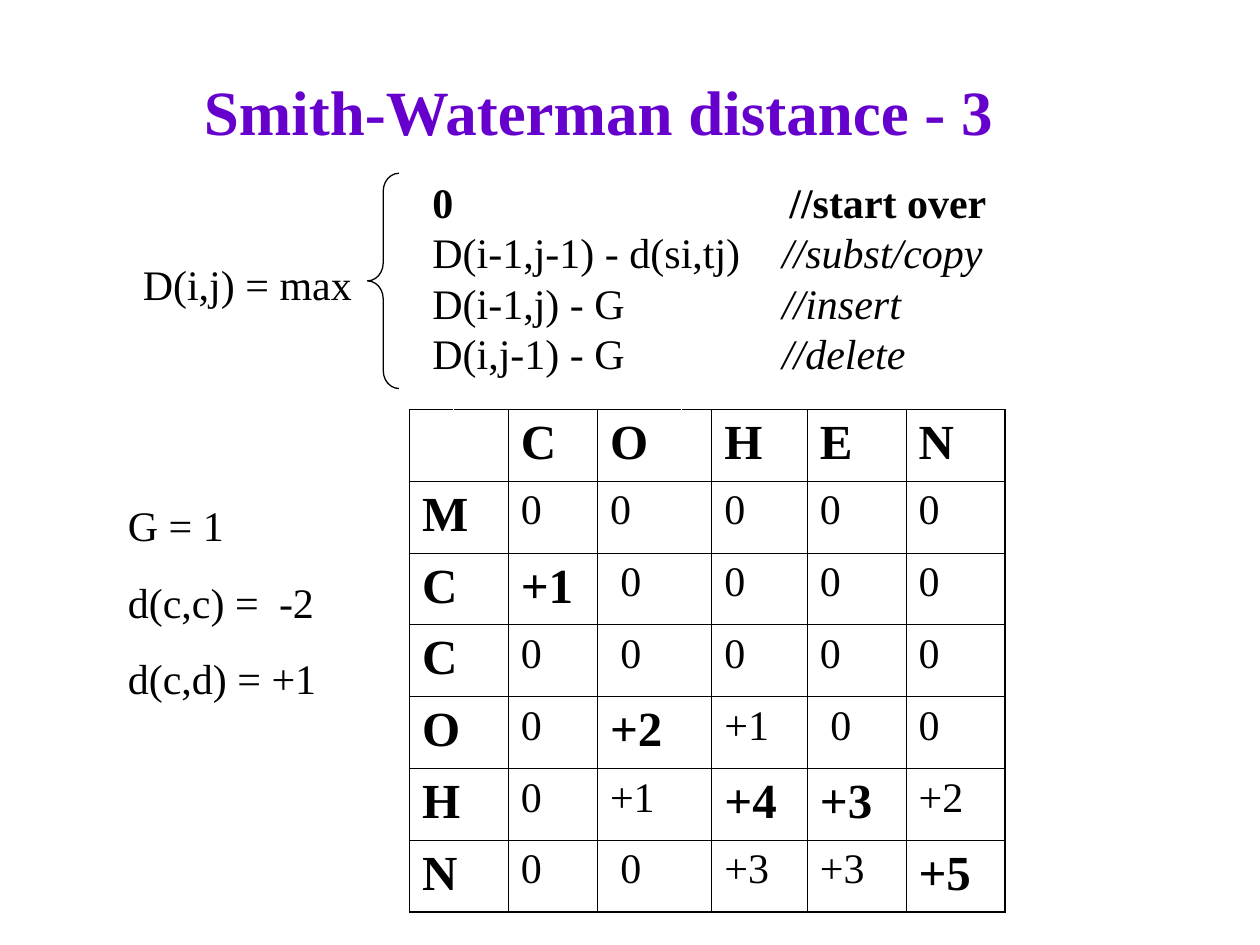
from lxml import etree
from pptx import Presentation
from pptx.dml.color import RGBColor
from pptx.enum.shapes import MSO_SHAPE
from pptx.enum.text import MSO_ANCHOR, PP_ALIGN
from pptx.oxml.ns import qn
from pptx.util import Inches, Pt

BRACE = MSO_SHAPE.LEFT_BRACE
MIDDLE = MSO_ANCHOR.MIDDLE
LEFT, CENTER, RIGHT = PP_ALIGN.LEFT, PP_ALIGN.CENTER, PP_ALIGN.RIGHT

COLORS = {"title": "6600CC", "ink": "000000", "seam": "FFFFFF"}
FORMATS = {
    "title": {"size": Pt(36), "bold": True},
    "body": {"size": Pt(24), "bold": False},
    "strong": {"size": Pt(24), "bold": True},
    "comment": {"size": Pt(24), "italic": True},
    "peak": {"size": Pt(28), "bold": True},
}
GRID_COLUMNS, GRID_ROWS = 120, 90
THIN, THICK = 0.45, 1.08

RECURRENCE = [
    ([("0", "strong"), ("\t//start over", "strong")], 34),
    ([("D(i-1,j-1) - d(si,tj)", "body"), ("\t//subst/copy", "comment")], 33.3),
    ([("D(i-1,j) - G", "body"), ("\t//insert", "comment")], 33.3),
    ([("D(i,j-1) - G", "body"), ("\t//delete", "comment")], 33.3),
]
COSTS = [
    ([("G = 1", "body")], None),
    ([("d(c,c) =\t-2", "body")], 14.4),
    ([("d(c,d) = +1", "body")], None),
]
SCORES = [
    ["", "C", "O", "H", "E", "N"],
    ["M", "0", "0", "0", "0", "0"],
    ["C", "+1", "0", "0", "0", "0"],
    ["C", "0", "0", "0", "0", "0"],
    ["O", "0", "+2", "+1", "0", "0"],
    ["H", "0", "+1", "+4", "+3", "+2"],
    ["N", "0", "0", "+3", "+3", "+5"],
]
PEAKS = {(2, 1), (4, 2), (5, 3), (5, 4), (6, 5)}
INDENTED = {(2, 2), (3, 2), (4, 4), (6, 2)}
COLUMN_WIDTHS = [4.2, 5.2, 8.5, 8, 2.9, 9.1, 9.4, 9.4]
LETTER_COLUMNS = [0, 2, 3, 5, 6, 7]
FIRST_MERGED_ROW = {0: 1, 3: 2}


class SlideBuilder:
    font_name = "Times New Roman"

    def __init__(self, deck):
        self.slide = deck.slides.add_slide(deck.slide_layouts[6])
        self.unit_x = deck.slide_width / GRID_COLUMNS
        self.unit_y = deck.slide_height / GRID_ROWS

    def x(self, columns):
        return round(columns * self.unit_x)

    def y(self, rows):
        return round(rows * self.unit_y)

    def frame(self, left, top, width, height):
        return self.x(left), self.y(top), self.x(width), self.y(height)

    def add_words(self, paragraph, words, style, color="ink"):
        run = paragraph.add_run()
        run.text = words
        run.font.name = self.font_name
        run.font.color.rgb = RGBColor.from_string(COLORS[color])
        for attribute, value in FORMATS[style].items():
            setattr(run.font, attribute, value)

    def add_tab(self, paragraph, position):
        properties = paragraph._p.get_or_add_pPr()
        stops = etree.SubElement(properties, qn("a:tabLst"))
        etree.SubElement(stops, qn("a:tab"), pos=str(self.x(position)), algn="l")

    def text(self, place, lines, color="ink", align=LEFT, wrap=False, gap=0, anchor=None):
        body = self.slide.shapes.add_textbox(*self.frame(*place)).text_frame
        body.word_wrap = wrap
        body.vertical_anchor = anchor
        for index, (runs, tab) in enumerate(lines):
            paragraph = body.add_paragraph() if index else body.paragraphs[0]
            paragraph.alignment = align
            if index and gap:
                paragraph.space_before = Pt(gap)
            if tab:
                self.add_tab(paragraph, tab)
            for words, style in runs:
                self.add_words(paragraph, words, style, color)

    def brace(self, place):
        brace = self.slide.shapes.add_shape(BRACE, *self.frame(*place))
        brace.shadow.inherit = False
        brace.adjustments[0] = 0.57
        brace.fill.background()
        brace.line.color.rgb = RGBColor.from_string(COLORS["ink"])
        brace.line.width = Pt(0.75)

    def borders(self, cell, edges):
        properties = cell._tc.get_or_add_tcPr()
        for index, (side, (color, width)) in enumerate(edges.items()):
            line = etree.Element(qn(f"a:ln{side}"), w=str(Pt(width)))
            fill = etree.SubElement(line, qn("a:solidFill"))
            etree.SubElement(fill, qn("a:srgbClr"), val=COLORS[color])
            properties.insert(index, line)

    def score_table(self, left, top, row_height):
        row_count, column_count = len(SCORES), len(COLUMN_WIDTHS)
        place = self.frame(left, top, sum(COLUMN_WIDTHS), row_count * row_height)
        table = self.slide.shapes.add_table(row_count, column_count, *place).table
        table.first_row = table.horz_banding = False
        for column, width in zip(table.columns, COLUMN_WIDTHS):
            column.width = self.x(width)
        for r, scores in enumerate(SCORES):
            table.rows[r].height = self.y(row_height)
            for c in range(column_count):
                cell = table.cell(r, c)
                cell.fill.background()
                seam_right = r < FIRST_MERGED_ROW.get(c, 0)
                seam_left = r < FIRST_MERGED_ROW.get(c - 1, 0)
                self.borders(cell, {
                    "L": ("seam" if seam_left else "ink", THIN if c else THICK),
                    "R": ("seam" if seam_right else "ink", THICK if c == column_count - 1 else THIN),
                    "T": ("ink", THIN),
                    "B": ("ink", THICK if r == row_count - 1 else THIN),
                })
            for start, first_row in FIRST_MERGED_ROW.items():
                if r >= first_row:
                    table.cell(r, start).merge(table.cell(r, start + 1))
            for letter, score in enumerate(scores):
                if score:
                    cell = table.cell(r, LETTER_COLUMNS[letter])
                    cell.margin_left = self.x(2.2 if (r, letter) in INDENTED else 1.2)
                    strong = r == 0 or letter == 0 or (r, letter) in PEAKS
                    self.add_words(cell.text_frame.paragraphs[0], score, "peak" if strong else "body")


def main():
    deck = Presentation()
    deck.slide_width, deck.slide_height = Inches(10), Inches(7.5)
    page = SlideBuilder(deck)
    page.text((6, 5, 102, 11), [([("Smith-Waterman distance - 3", "title")], None)],
              color="title", align=CENTER, wrap=True, anchor=MIDDLE)
    page.brace((35, 16.5, 3, 20.5))
    page.text((12.4, 24, 22.3, 6), [([("D(i,j) = max", "body")], None)], align=RIGHT)
    page.text((40, 16.2, 55.2, 20.4), RECURRENCE)
    page.text((11, 47, 23, 20.6), COSTS, wrap=True, gap=15)
    page.score_table(39, 39, 6.84)
    deck.save("out.pptx")


if __name__ == "__main__":
    main()
